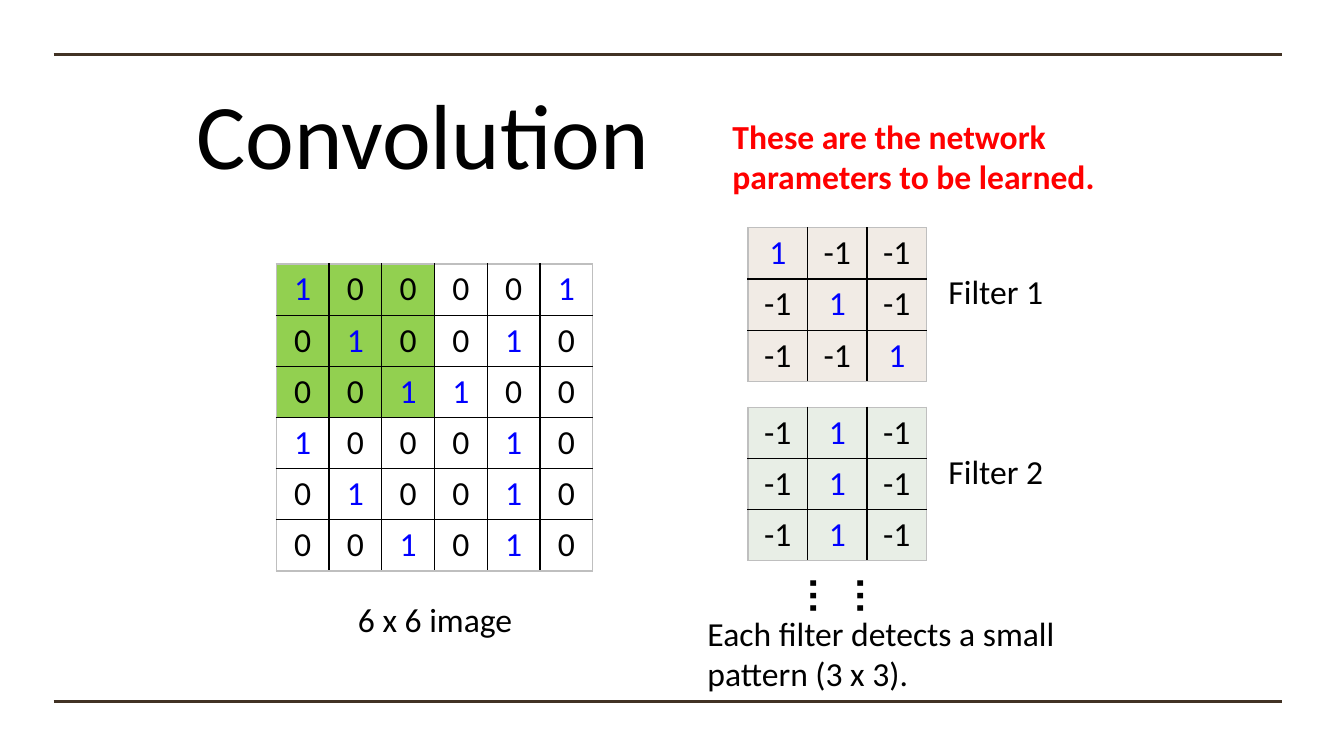
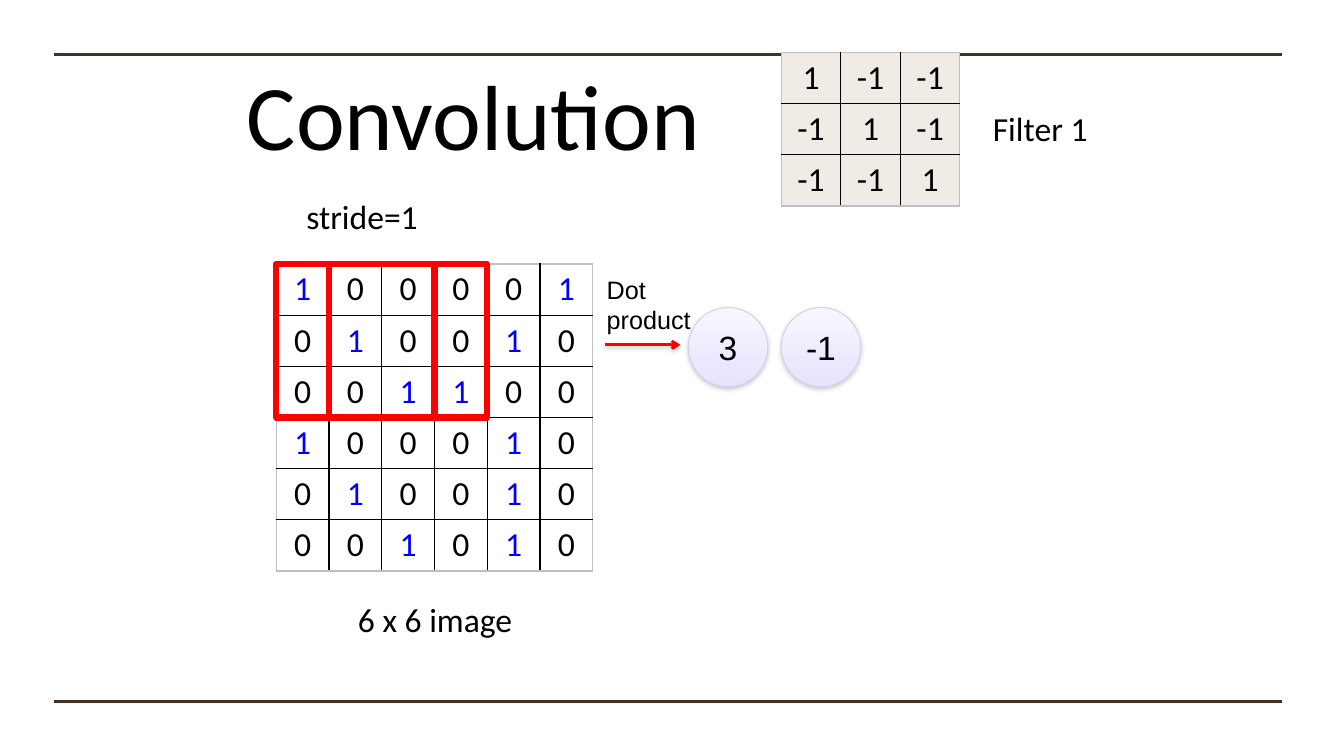
from lxml.etree import SubElement
from pptx import Presentation
from pptx.dml.color import RGBColor
from pptx.enum.shapes import MSO_CONNECTOR, MSO_SHAPE
from pptx.enum.text import MSO_ANCHOR, PP_ALIGN
from pptx.oxml.ns import qn
from pptx.util import Cm, Pt

COLORS = {
    "rule": "413224", "text": "000000", "one": "0000FF", "accent": "FF0000",
    "window": "92D050", "filter1": "F1EBE5", "filter2": "E8EEE6",
    "edge": "BFBFBF", "ball_top": "F7F6FF", "ball_bottom": "E5E3FF",
    "ball_line": "D4D3E7", "shadow": "808080",
}
IMAGE = ["100001", "010010", "001100", "100010", "010010", "001010"]
FILTER_1 = [["1", "-1", "-1"], ["-1", "1", "-1"], ["-1", "-1", "1"]]
FILTER_2 = [["-1", "1", "-1"]] * 3
ROW_H, IMAGE_COL, FILTER_COL = 1.29, 1.33, 1.5
IMAGE_X, IMAGE_Y = 6.96, 6.65
WINDOW = 3


def rgb(name):
    """Return the named colour."""
    return RGBColor.from_string(COLORS[name])


def set_effects(shape, shadow=False):
    """Replace the theme shadow by none or by a soft one below the shape."""
    effects = SubElement(shape._element.spPr, qn("a:effectLst"))
    if shadow:
        outer = SubElement(effects, qn("a:outerShdw"), blurRad="40000",
                           dist="20000", dir="5400000", rotWithShape="0")
        color = SubElement(outer, qn("a:srgbClr"), val=COLORS["shadow"])
        SubElement(color, qn("a:alpha"), val="38000")


def style(p, size=24, color="text", font="Calibri", bold=False, align=None):
    """Set the font and alignment of a paragraph."""
    p.font.size, p.font.name, p.font.bold = Pt(size), font, bold
    p.font.color.rgb = rgb(color)
    p.alignment = align


def add_text(s, text, x, y, w, h, wrap=True, **look):
    """Add a text box with one paragraph per line of text."""
    box = s.shapes.add_textbox(Cm(x), Cm(y), Cm(w), Cm(h))
    tf = box.text_frame
    tf.word_wrap = wrap
    tf.text = text
    for p in tf.paragraphs:
        style(p, **look)
    return box


def add_line(s, x1, y1, x2, y2, color, width, shadow=False):
    """Add a straight line."""
    line = s.shapes.add_connector(MSO_CONNECTOR.STRAIGHT, Cm(x1), Cm(y1), Cm(x2), Cm(y2))
    line.line.color.rgb = rgb(color)
    line.line.width = Pt(width)
    set_effects(line, shadow)
    return line


def set_borders(cell, edges):
    """Draw the four sides of a cell, lighter on the table's edges."""
    tc_pr = cell._tc.get_or_add_tcPr()
    for side, on_edge in zip("LRTB", edges):
        ln = SubElement(tc_pr, qn(f"a:ln{side}"), w=str(Pt(1)))
        fill = SubElement(ln, qn("a:solidFill"))
        SubElement(fill, qn("a:srgbClr"), val=COLORS["edge" if on_edge else "text"])


def add_matrix(s, values, x, y, col_w, fill_of, one_color="one"):
    """Add a table of numbers, with fill_of(row, column) naming each fill."""
    rows, cols = len(values), len(values[0])
    table = s.shapes.add_table(rows, cols, Cm(x), Cm(y), Cm(cols * col_w),
                               Cm(rows * ROW_H)).table
    table.first_row = table.horz_banding = False
    for col in table.columns:
        col.width = Cm(col_w)
    for i, row in enumerate(values):
        table.rows[i].height = Cm(ROW_H)
        for j, value in enumerate(row):
            cell = table.cell(i, j)
            set_borders(cell, (j == 0, j == cols - 1, i == 0, i == rows - 1))
            fill = fill_of(i, j)
            if fill:
                cell.fill.solid()
                cell.fill.fore_color.rgb = rgb(fill)
            else:
                cell.fill.background()
            cell.text = value
            style(cell.text_frame.paragraphs[0], align=PP_ALIGN.CENTER,
                  color=one_color if value == "1" else "text")


def add_image(s, x, y, window_fill=None):
    """Add the 6 x 6 image and its caption."""
    add_matrix(s, IMAGE, x, y, IMAGE_COL,
               lambda i, j: window_fill if max(i, j) < WINDOW else None)
    add_text(s, "6 x 6 image", x + 0.74, y + 8.31, 6.53, 1.27, align=PP_ALIGN.CENTER)


def add_filter(s, name, values, x, y, fill, dx=4.24, dy=0.97, one_color="one"):
    """Add a filter with its name to the right."""
    add_matrix(s, values, x, y, FILTER_COL, lambda i, j: fill, one_color)
    add_text(s, name, x + dx, y + dy, 4.01, 1.3, align=PP_ALIGN.CENTER)


def add_window(s, x, y):
    """Outline the cells under the filter."""
    frame = s.shapes.add_shape(MSO_SHAPE.RECTANGLE, Cm(x), Cm(y),
                               Cm(WINDOW * IMAGE_COL), Cm(WINDOW * ROW_H))
    frame.fill.background()
    frame.line.color.rgb = rgb("accent")
    frame.line.width = Pt(4.5)
    set_effects(frame)


def add_ball(s, text, x, y, size=2.0):
    """Add a result in a shaded circle."""
    ball = s.shapes.add_shape(MSO_SHAPE.OVAL, Cm(x), Cm(y), Cm(size), Cm(size))
    ball.fill.gradient()
    ball.fill.gradient_angle = 270
    for stop, color in zip(ball.fill.gradient_stops, ("ball_top", "ball_bottom")):
        stop.color.rgb = rgb(color)
    ball.line.color.rgb = rgb("ball_line")
    ball.line.width = Pt(0.75)
    set_effects(ball, shadow=True)
    tf = ball.text_frame
    tf.text = text
    tf.vertical_anchor = MSO_ANCHOR.MIDDLE
    style(tf.paragraphs[0], font="Arial", align=PP_ALIGN.CENTER)


def add_dot_product(s, x, y):
    """Add the labelled arrow and the results it leads to."""
    for i, result in enumerate(("3", "-1")):
        add_ball(s, result, x + 2.31 + i * 2.34, y + 0.97)
    arrow = add_line(s, x + 0.2, y + 1.91, x + 2.11, y + 1.91, "accent", 2, shadow=True)
    SubElement(arrow.line._get_or_add_ln(), qn("a:tailEnd"), type="arrow")
    add_text(s, "Dot\nproduct", x, y, 2.64, 1.8, wrap=False, size=18, font="Arial")


def add_base(prs, title_x, title_y):
    """Add a slide with its two rules and title."""
    s = prs.slides.add_slide(prs.slide_layouts[6])
    for y in (1.37, 17.68):
        add_line(s, 1.35, y, 32.31, y, "rule", 2.25)
    title = add_text(s, "Convolution", title_x, title_y, 21.9, 3.68, size=66)
    title.text_frame.vertical_anchor = MSO_ANCHOR.MIDDLE
    return s


def build_filters_slide(prs):
    """Show the image beside the filters to be learned."""
    s = add_base(prs, 4.7, 1.5)
    add_image(s, IMAGE_X, IMAGE_Y, "window")
    add_filter(s, "Filter 1", FILTER_1, 18.85, 5.74, "filter1")
    add_filter(s, "Filter 2", FILTER_2, 18.85, 10.26, "filter2")
    dots = add_text(s, "……", 20.42, 13.94, 1.96, 2.64, size=28, font="Arial", bold=True)
    dots.rotation = 90
    add_text(s, "These are the network parameters to be learned.",
             18.21, 2.79, 11, 2.31, color="accent", bold=True)
    add_text(s, "Each filter detects a small pattern (3 x 3).", 17.58, 15.32, 9.88, 2.31)


def build_stride_slide(prs):
    """Show the filter sliding over the image by one column."""
    s = add_base(prs, 5.97, 1.02)
    add_image(s, IMAGE_X, IMAGE_Y)
    add_filter(s, "Filter 1", FILTER_1, 19.69, 1.32, "filter1", 4.52, 1.27, "text")
    for step in range(2):
        add_window(s, IMAGE_X + step * IMAGE_COL, IMAGE_Y)
    add_text(s, "stride=1", 7.47, 4.8, 3.58, 1.27, wrap=False)
    add_dot_product(s, 15.04, 6.78)


def main():
    """Build and save the presentation."""
    prs = Presentation()
    prs.slide_width, prs.slide_height = Cm(33.87), Cm(19.05)
    build_filters_slide(prs)
    build_stride_slide(prs)
    prs.save("out.pptx")


if __name__ == "__main__":
    main()
